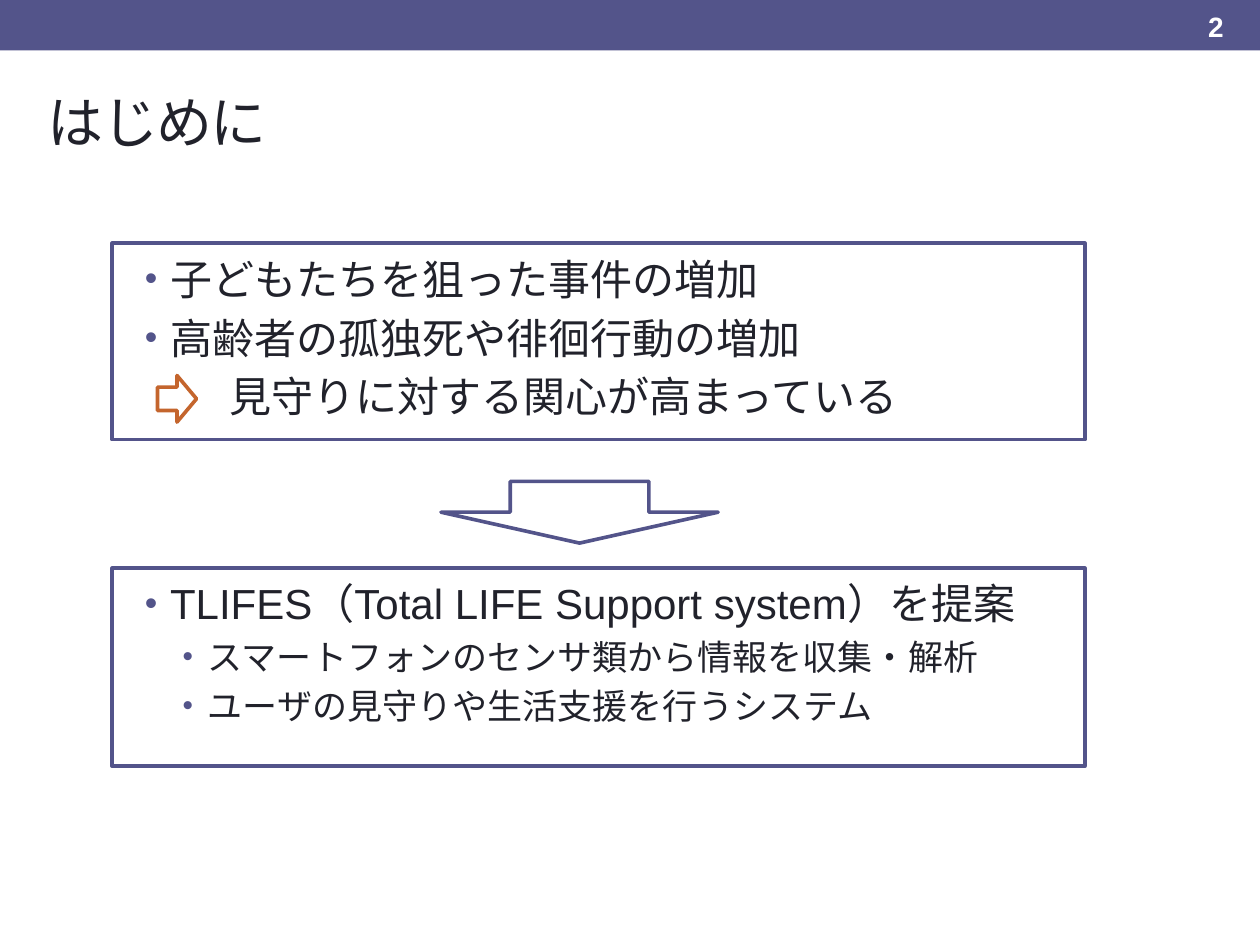
"""Build the introduction slide: two framed lists joined by a down arrow."""
import pptx
import pptx.dml.color
import pptx.enum.shapes
import pptx.enum.text
import pptx.oxml.ns
import pptx.util
from lxml import etree

INDIGO, ORANGE, INK, WHITE = "53548A", "C4652D", "21222B", "FFFFFF"
SHAPES = pptx.enum.shapes.MSO_SHAPE
ANCHORS = pptx.enum.text.MSO_ANCHOR
LEFT = pptx.enum.text.PP_ALIGN.LEFT

presentation = pptx.Presentation()
presentation.slide_width = pptx.util.Inches(10)
presentation.slide_height = pptx.util.Inches(7.5)
column = presentation.slide_width / 100
row = presentation.slide_height / 75
slide = presentation.slides.add_slide(presentation.slide_layouts[1])


def grid(left, top, width, height):
    """Turn columns and rows into slide lengths."""
    return [round(count * unit) for count, unit in zip((left, top, width, height), (column, row) * 2)]


def paint(target, color):
    """Give a fill or a font colour its hex value."""
    if hasattr(target, "solid"):
        target.solid()
        target = target.fore_color
    target.rgb = pptx.dml.color.RGBColor.from_string(color)


band = slide.shapes.add_shape(SHAPES.RECTANGLE, *grid(0, 0, 100, 4))
band.shadow.inherit = False
paint(band.fill, INDIGO)
band.line.fill.background()

title, body = slide.placeholders
number = slide.shapes.add_textbox(*grid(94.9, 0.3, 4.7, 3.6))
frames = [
    (title, grid(2.8, 5.2, 94.5, 8.8), ANCHORS.MIDDLE),
    (body, grid(10.5, 19.6, 77.3, 53.3), ANCHORS.TOP),
    (number, grid(94.9, 0.3, 4.7, 3.6), ANCHORS.MIDDLE),
]
for shape, place, anchor in frames:
    for name, value in zip(("left", "top", "width", "height"), place):
        setattr(shape, name, value)
    settings = {"word_wrap": True, "auto_size": pptx.enum.text.MSO_AUTO_SIZE.NONE, "vertical_anchor": anchor}
    for name, value in settings.items():
        setattr(shape.text_frame, name, value)

title.text_frame.text = "はじめに"
number.text_frame.text = "2"
labels = [(title, 32, INK, False), (number, 16, WHITE, True)]
for shape, size, color, bold in labels:
    paragraph = shape.text_frame.paragraphs[0]
    paragraph.alignment = LEFT
    run = paragraph.runs[0]
    for name, value in {"name": "Arial", "size": pptx.util.Pt(size), "bold": bold}.items():
        setattr(run.font, name, value)
    paint(run.font.color, color)
title.text_frame.paragraphs[0].runs[0]._r.get_or_add_rPr().set("spc", "-100")

items = [
    ("子どもたちを狙った事件の増加", 0, 24, 4.8, 2, -2),
    ("高齢者の孤独死や徘徊行動の増加", 0, 24, 4.8, 2, -2),
    ("見守りに対する関心が高まっている", 0, 24, 4.8, 6.7, 0),
    ("TLIFES（Total LIFE Support system）を提案", 0, 24, 89.4, 2, -2),
    ("スマートフォンのセンサ類から情報を収集・解析", 1, 20, 4, 5, -2),
    ("ユーザの見守りや生活支援を行うシステム", 1, 20, 4, 5, -2),
]
body.text_frame.text = "\n".join(item[0] for item in items)
for paragraph, (text, level, size, gap, margin, indent) in zip(body.text_frame.paragraphs, items):
    for name, value in {"level": level, "alignment": LEFT, "space_before": pptx.util.Pt(gap)}.items():
        setattr(paragraph, name, value)
    font = paragraph.runs[0].font
    for name, value in {"name": "Arial", "size": pptx.util.Pt(size)}.items():
        setattr(font, name, value)
    paint(font.color, INK)
    properties = paragraph._p.get_or_add_pPr()
    properties.set("marL", str(round(margin * column)))
    properties.set("indent", str(round(indent * column)))
    if indent:
        bullet_color = etree.SubElement(properties, pptx.oxml.ns.qn("a:buClr"))
        etree.SubElement(bullet_color, pptx.oxml.ns.qn("a:srgbClr"), val=INDIGO)
        etree.SubElement(properties, pptx.oxml.ns.qn("a:buSzPct"), val="85000")
        etree.SubElement(properties, pptx.oxml.ns.qn("a:buChar"), char="•")
    else:
        etree.SubElement(properties, pptx.oxml.ns.qn("a:buNone"))

outlines = [
    (SHAPES.DOWN_ARROW, grid(12.2, 30.1, 3.7, 3.1), 270, WHITE, ORANGE),
    (SHAPES.ROUNDED_RECTANGLE, grid(8.9, 19.3, 77.2, 15.6), 0, None, INDIGO),
    (SHAPES.ROUNDED_RECTANGLE, grid(8.9, 45.1, 77.2, 15.7), 0, None, INDIGO),
    (SHAPES.DOWN_ARROW, grid(35, 38.2, 22, 4.9), 0, WHITE, INDIGO),
]
for kind, place, rotation, fill, line in outlines:
    shape = slide.shapes.add_shape(kind, *place)
    shape.shadow.inherit = False
    shape.rotation = rotation
    shape.line.width = pptx.util.Pt(2.08)
    paint(shape.line.fill, line)
    if fill:
        paint(shape.fill, fill)
    else:
        shape.fill.background()
        shape.adjustments[0] = 0

presentation.save("out.pptx")
